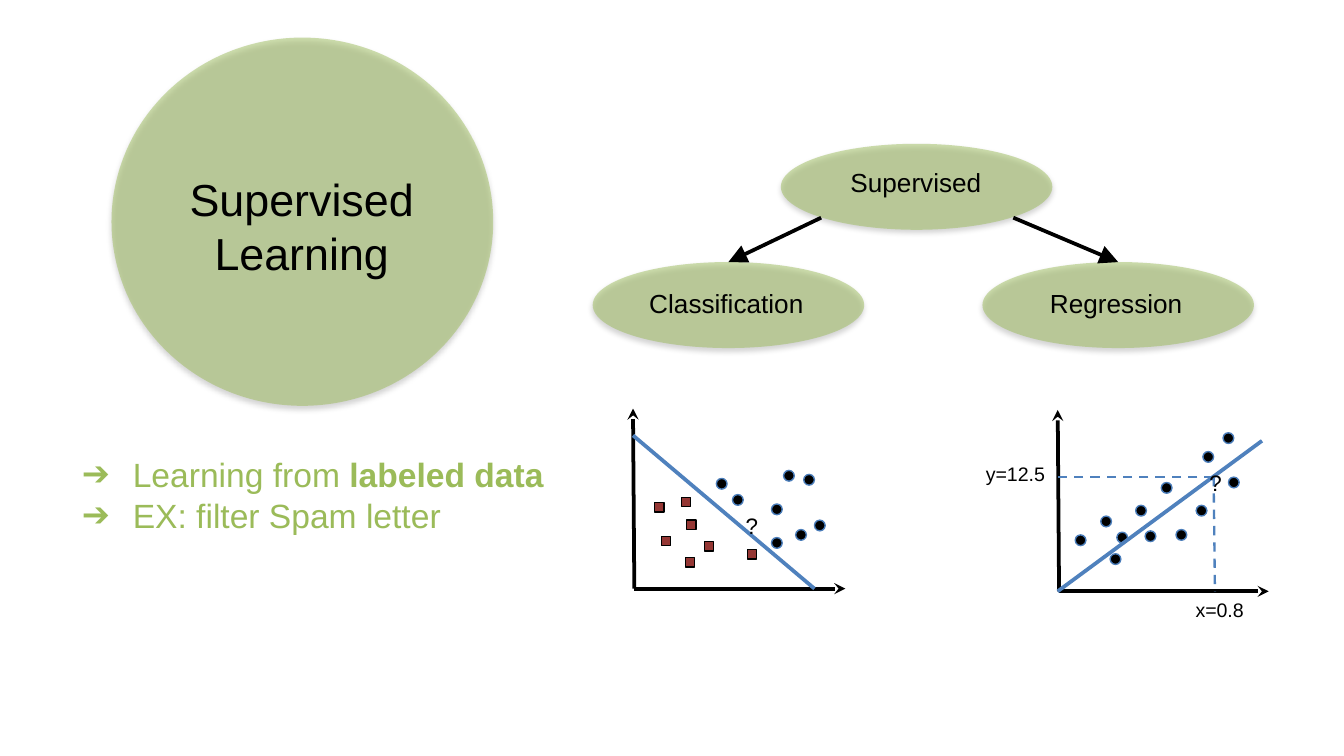
from lxml.etree import SubElement
from pptx import Presentation
from pptx.dml.color import RGBColor
from pptx.enum.dml import MSO_LINE
from pptx.enum.shapes import MSO_CONNECTOR, MSO_SHAPE
from pptx.enum.text import PP_ALIGN
from pptx.oxml.ns import qn
from pptx.util import Inches, Pt

GREEN, BLACK, BLUE = "9BBB59", "000000", "4F81BD"
DOT = {"kind": MSO_SHAPE.OVAL, "size": 0.08, "fill": BLACK, "outline": "4A7DBA"}
SQUARE = {"kind": MSO_SHAPE.RECTANGLE, "size": 0.07, "fill": "953734", "outline": BLACK}
STEALTH = {"type": "stealth"}
LARGE_TRIANGLE = {"type": "triangle", "w": "lg", "len": "lg"}

REGRESSION_DOTS = [
    (8, 3.98), (8.19, 3.84), (8.31, 3.96), (8.45, 3.76), (8.52, 3.95), (8.64, 3.59),
    (8.9, 3.76), (8.95, 3.36), (8.75, 3.94), (9.14, 3.55), (9.1, 3.22), (8.26, 4.12),
]
CLASS_DOTS = [
    (5.74, 4), (5.92, 3.94), (5.74, 3.75), (5.83, 3.5),
    (5.98, 3.53), (6.06, 3.87), (5.33, 3.56), (5.45, 3.68),
]
CLASS_SQUARES = [
    (4.87, 3.74), (4.92, 3.99), (5.11, 3.87), (5.56, 4.09),
    (5.07, 3.7), (5.24, 4.03), (5.1, 4.15),
]


def color(value):
    """Turn a hex string into a colour."""
    return RGBColor.from_string(value)


def child(parent, tag, **attributes):
    """Append a DrawingML element and return it."""
    return SubElement(parent, qn(tag), {key: str(value) for key, value in attributes.items()})


def add_bubble(page, left, top, width, height):
    """Add a translucent green ellipse with a soft shadow."""
    bubble = page.shapes.add_shape(
        MSO_SHAPE.OVAL, Inches(left), Inches(top), Inches(width), Inches(height))
    bubble.shadow.inherit = False
    bubble.fill.solid()
    bubble.fill.fore_color.rgb = color(GREEN)
    bubble.line.fill.background()
    properties = bubble._element.spPr
    child(properties.find(".//" + qn("a:srgbClr")), "a:alpha", val=49000)
    shadow = child(properties.find(qn("a:effectLst")), "a:outerShdw",
                   blurRad=Pt(3.1), dist=Pt(1.8), dir=5400000, rotWithShape=0)
    child(child(shadow, "a:srgbClr", val=BLACK), "a:alpha", val=35000)


def add_text(page, left, top, width, height, lines, size, hue=BLACK, bullet=None):
    """Add a text box from lines of (text, bold) spans."""
    box = page.shapes.add_textbox(Inches(left), Inches(top), Inches(width), Inches(height))
    frame = box.text_frame
    frame.word_wrap = True
    for index, spans in enumerate(lines):
        para = frame.paragraphs[0] if index == 0 else frame.add_paragraph()
        para.alignment = PP_ALIGN.LEFT if bullet else PP_ALIGN.CENTER
        if bullet:
            add_bullet(para, bullet, hue)
        for text, bold in spans:
            span = para.add_run()
            span.text = text
            span.font.color.rgb = color(hue)
            for name, value in {"name": "Arial", "size": Pt(size), "bold": bold}.items():
                setattr(span.font, name, value)


def add_bullet(para, symbol, hue):
    """Give a paragraph a hanging bullet."""
    properties = para._p.get_or_add_pPr()
    properties.set("marL", str(Inches(0.5)))
    properties.set("indent", str(Inches(-0.38)))
    child(child(properties, "a:buClr"), "a:srgbClr", val=hue)
    child(properties, "a:buFont", typeface="Arial")
    child(properties, "a:buChar", char=symbol)


def add_label(page, left, top, width, height, text, size):
    """Add a centred one-line label."""
    add_text(page, left, top, width, height, [[(text, False)]], size)


def add_line(page, start, end, hue=BLACK, width=2, head=None, dash=None):
    """Add a straight line with an optional arrowhead or dash."""
    line = page.shapes.add_connector(
        MSO_CONNECTOR.STRAIGHT, *(Inches(value) for value in (*start, *end)))
    line.line.color.rgb = color(hue)
    line.line.width = Pt(width)
    if dash:
        line.line.dash_style = dash
    if head:
        child(line._element.spPr.find(qn("a:ln")), "a:tailEnd", **head)
    child(line._element.spPr, "a:effectLst")


def add_markers(page, points, style):
    """Add one small data marker at each point."""
    for left, top in points:
        marker = page.shapes.add_shape(
            style["kind"], Inches(left), Inches(top),
            Inches(style["size"]), Inches(style["size"]))
        marker.shadow.inherit = False
        marker.fill.solid()
        marker.fill.fore_color.rgb = color(style["fill"])
        marker.line.color.rgb = color(style["outline"])
        marker.line.width = Pt(0.75)


def add_axes(page, left, bottom, top, right):
    """Add a vertical and a horizontal axis from one corner."""
    for end in ((left - 0.01, top), (right, bottom)):
        add_line(page, (left, bottom), end, head=STEALTH)


def add_overview(page):
    """Add the title circle and the bulleted description."""
    add_bubble(page, 0.83, 0.28, 2.84, 2.74)
    add_text(page, 0.39, 3.33, 4.17, 0.85, [
        [("Learning from ", False), ("labeled data", True)],
        [("EX: filter Spam letter", False)],
    ], 18, GREEN, "➔")
    add_text(page, 0.88, 1.23, 2.73, 1.02,
             [[("Supervised", False)], [("Learning", False)]], 24)


def add_tree(page):
    """Add the tree of supervised methods."""
    for left, top, text_left, text_top, text in [
        (5.81, 1.07, 5.84, 1.19, "Supervised"),
        (4.41, 1.95, 4.43, 2.09, "Classification"),
        (7.31, 1.95, 7.33, 2.09, "Regression"),
    ]:
        add_bubble(page, left, top, 2.02, 0.64)
        add_label(page, text_left, text_top, 1.95, 0.36, text, 14)
    for start, end in ((7.54, 8.32), (6.11, 5.42)):
        add_line(page, (start, 1.62), (end, 1.95), head=LARGE_TRIANGLE)


def add_regression(page):
    """Add the regression plot."""
    add_axes(page, 7.88, 4.4, 3.05, 9.44)
    add_markers(page, REGRESSION_DOTS, DOT)
    add_line(page, (7.87, 4.4), (9.39, 3.28), BLUE)
    for end in ((9.04, 4.4), (7.87, 3.55)):
        add_line(page, (9.03, 3.55), end, BLUE, 1.25, dash=MSO_LINE.DASH)
    add_label(page, 8.6, 4.4, 0.95, 0.2, "x=0.8", 10.5)
    add_label(page, 7.08, 3.39, 0.95, 0.2, "y=12.5", 10.5)


def add_classification(page):
    """Add the classification plot."""
    add_axes(page, 4.72, 4.38, 3.04, 6.29)
    add_line(page, (4.71, 3.24), (6.06, 4.38), BLUE)
    add_markers(page, CLASS_DOTS, DOT)
    add_markers(page, CLASS_SQUARES, SQUARE)


def main():
    """Build and save the slide."""
    deck = Presentation()
    deck.slide_width = Inches(10)
    deck.slide_height = deck.slide_width * 9 // 16
    page = deck.slides.add_slide(deck.slide_layouts[6])
    add_overview(page)
    add_tree(page)
    add_regression(page)
    add_classification(page)
    for left, top in ((5.45, 3.76), (8.9, 3.44)):
        add_label(page, left, top, 0.26, 0.22, "?", 12)
    deck.save("out.pptx")


if __name__ == "__main__":
    main()
